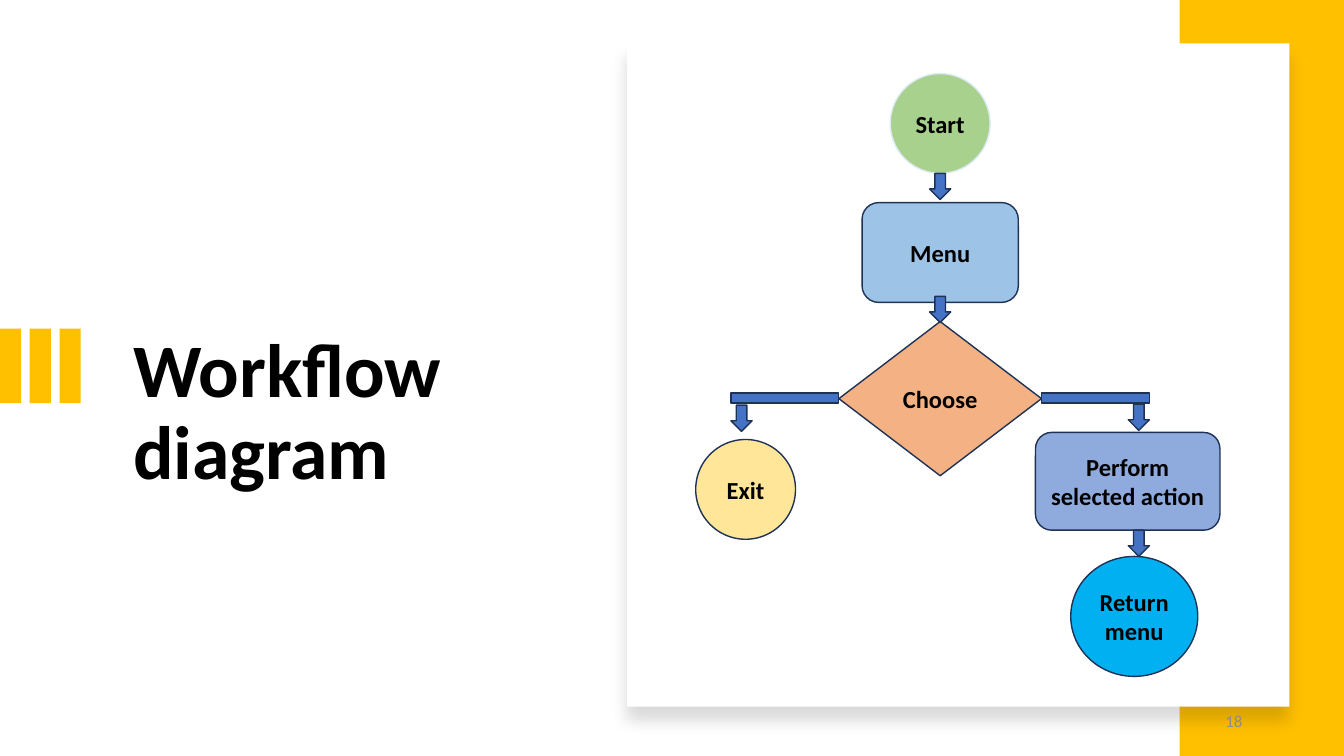
from lxml import etree
from pptx import Presentation
from pptx.dml.color import RGBColor
from pptx.enum import shapes, text
from pptx.oxml import ns
from pptx.util import Inches, Pt

BLACK = RGBColor(0x00, 0x00, 0x00)
WHITE = RGBColor(0xFF, 0xFF, 0xFF)
GREY = RGBColor(0x8C, 0x8C, 0x8C)
GOLD = RGBColor(0xFF, 0xC0, 0x00)
NAVY = RGBColor(0x1E, 0x32, 0x56)
BLUE = RGBColor(0x44, 0x72, 0xC4)
PALE_BLUE = RGBColor(0xDE, 0xEB, 0xF7)
GREEN = RGBColor(0xA9, 0xD1, 0x8E)
SKY = RGBColor(0x9D, 0xC3, 0xE6)
ORANGE = RGBColor(0xF4, 0xB1, 0x83)
YELLOW = RGBColor(0xFF, 0xE6, 0x99)
PERIWINKLE = RGBColor(0x8F, 0xAA, 0xDC)
CYAN = RGBColor(0x00, 0xB0, 0xF0)

FONT = "Calibri"
SHAPE = shapes.MSO_SHAPE
ALIGN = text.PP_ALIGN
ANCHOR = text.MSO_ANCHOR


def add_run(p, words, size, color, bold=False):
    r = p.add_run()
    r.text = words
    r.font.name = FONT
    r.font.size = Pt(size)
    r.font.bold = bold
    r.font.color.rgb = color


def add_block(parent, kind, box, fill, line=None):
    sp = parent.add_shape(kind, *map(Inches, box))
    sp.shadow.inherit = False
    sp.fill.solid()
    sp.fill.fore_color.rgb = fill
    if line is None:
        sp.line.fill.background()
    else:
        sp.line.color.rgb = line
        sp.line.width = Pt(1)
    return sp


def add_node(parent, kind, box, fill, label, line=NAVY):
    tf = add_block(parent, kind, box, fill, line).text_frame
    tf.word_wrap = True
    tf.vertical_anchor = ANCHOR.MIDDLE
    tf.margin_left = tf.margin_right = Inches(0.08)
    p = tf.paragraphs[0]
    p.alignment = ALIGN.CENTER
    p.space_after = Pt(6)
    add_run(p, label, 17.5, BLACK, bold=True)


def add_soft_shadow(sp):
    effects = sp._element.spPr.find(ns.qn("a:effectLst"))
    shadow = etree.SubElement(
        effects, ns.qn("a:outerShdw"), blurRad=str(Pt(11)), dist=str(Pt(10)),
        dir="5400000", algn="t", rotWithShape="0")
    color = etree.SubElement(shadow, ns.qn("a:srgbClr"), val=str(BLACK))
    etree.SubElement(color, ns.qn("a:alpha"), val="15000")


def add_title(slide):
    title = slide.shapes.title
    title.left, title.top = Inches(1.22), Inches(3.25)
    title.width, title.height = Inches(4.67), Inches(2.59)
    tf = title.text_frame
    tf.word_wrap = True
    tf.auto_size = text.MSO_AUTO_SIZE.NONE
    tf.vertical_anchor = ANCHOR.TOP
    p = tf.paragraphs[0]
    p.alignment = ALIGN.LEFT
    p.line_spacing = 0.9
    add_run(p, "Workflow diagram", 54, BLACK, bold=True)


def add_decoration(slide):
    # Three bars beside the title
    bars = slide.shapes.add_group_shape()
    for i in range(3):
        add_block(bars.shapes, SHAPE.RECTANGLE,
                  (i * 0.295, 3.26, 0.21, 0.74), GOLD)

    # Side band and the panel on top of it
    add_block(slide.shapes, SHAPE.RECTANGLE, (11.7, 0, 1.63, 7.5), GOLD)
    panel = add_block(slide.shapes, SHAPE.RECTANGLE,
                      (6.22, 0.43, 6.57, 6.58), WHITE)
    add_soft_shadow(panel)


def add_flowchart(slide):
    sps = slide.shapes

    # Steps
    add_node(sps, SHAPE.OVAL, (8.83, 0.73, 0.99, 0.99), GREEN, "Start",
             line=PALE_BLUE)
    for kind, box, fill, label in (
        (SHAPE.ROUNDED_RECTANGLE, (8.55, 2.01, 1.55, 0.99), SKY, "Menu"),
        (SHAPE.DIAMOND, (8.32, 3.19, 2.01, 1.53), ORANGE, "Choose"),
        (SHAPE.OVAL, (6.9, 4.36, 0.99, 0.99), YELLOW, "Exit"),
        (SHAPE.ROUNDED_RECTANGLE, (10.27, 4.29, 1.83, 0.97), PERIWINKLE,
         "Perform selected action"),
        (SHAPE.OVAL, (10.62, 5.52, 1.26, 1.19), CYAN, "Return menu"),
    ):
        add_node(sps, kind, box, fill, label)

    # Arrows between the steps
    for left, top in ((9.22, 1.72), (9.22, 2.94), (11.19, 4.01),
                      (7.25, 4.02), (11.19, 5.26)):
        add_block(sps, SHAPE.DOWN_ARROW, (left, top, 0.21, 0.26), BLUE, NAVY)

    # Branches on both sides of the decision
    for left in (7.25, 10.33):
        add_block(sps, SHAPE.RECTANGLE, (left, 3.9, 1.07, 0.1), BLUE, NAVY)


def add_slide_number(slide, number):
    box = slide.shapes.add_textbox(*map(Inches, (9.42, 6.95, 3, 0.4)))
    tf = box.text_frame
    tf.word_wrap = True
    tf.vertical_anchor = ANCHOR.MIDDLE
    p = tf.paragraphs[0]
    p.alignment = ALIGN.RIGHT
    add_run(p, number, 12, GREY)


def main():
    prs = Presentation()
    prs.slide_width, prs.slide_height = Inches(13.33), Inches(7.5)
    slide = prs.slides.add_slide(prs.slide_layouts.get_by_name("Title Only"))
    add_title(slide)
    add_decoration(slide)
    add_flowchart(slide)
    add_slide_number(slide, "18")
    prs.save("out.pptx")


if __name__ == "__main__":
    main()
